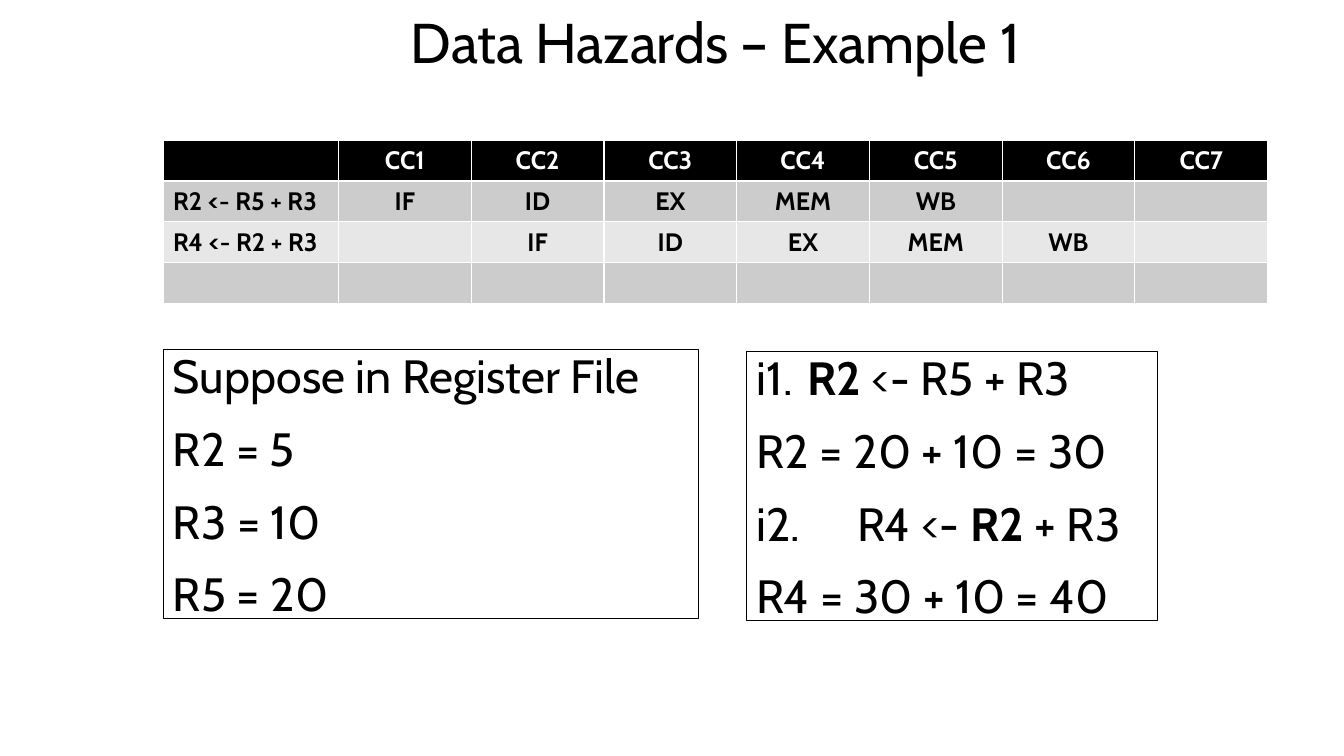
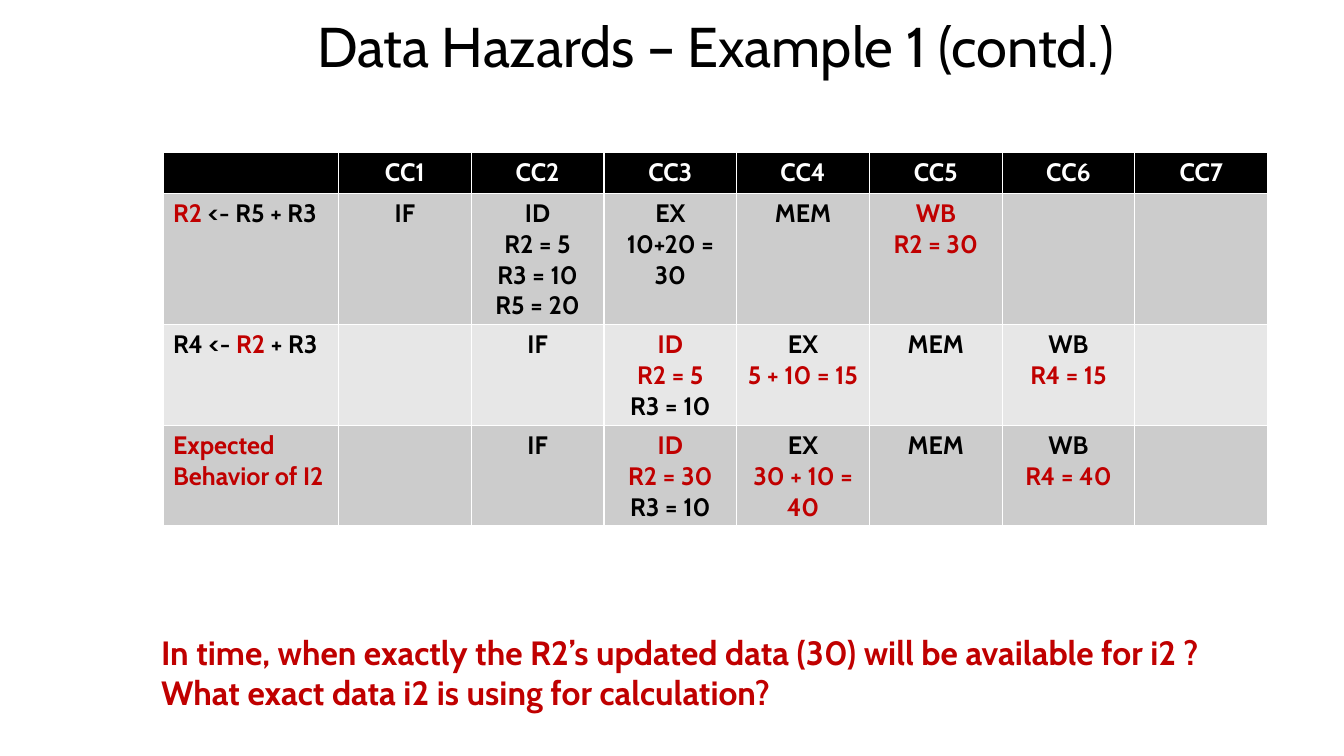
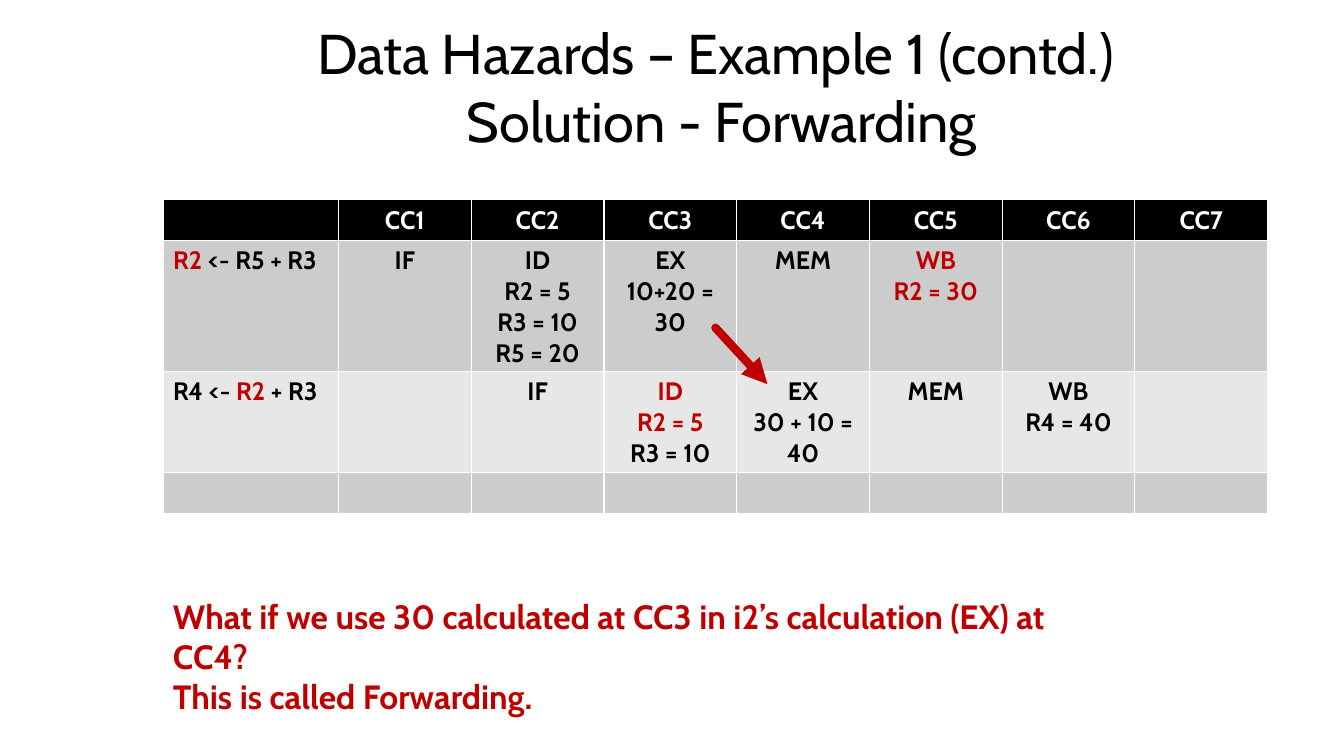
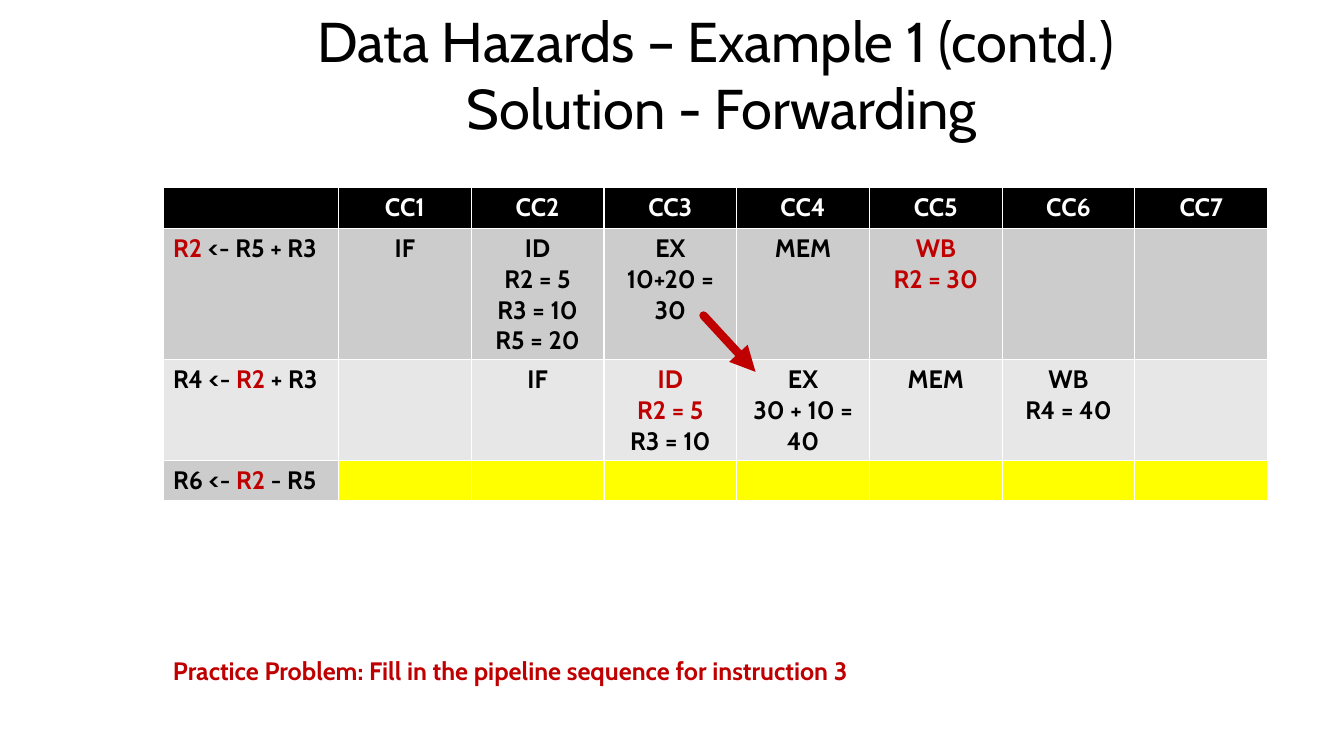
"""Build four slides on data hazards and forwarding in a pipeline."""
from dataclasses import dataclass

from lxml import etree
from pptx import Presentation
from pptx.dml.color import RGBColor
from pptx.enum.shapes import MSO_CONNECTOR, MSO_SHAPE
from pptx.enum.text import MSO_ANCHOR, PP_ALIGN
from pptx.oxml.ns import qn
from pptx.slide import Slide
from pptx.text.text import TextFrame
from pptx.util import Cm, Pt

BLACK = RGBColor(0x00, 0x00, 0x00)
WHITE = RGBColor(0xFF, 0xFF, 0xFF)
RED = RGBColor(0xC0, 0x00, 0x00)
YELLOW = RGBColor(0xFF, 0xFF, 0x00)
DARK_BAND = RGBColor(0xCC, 0xCC, 0xCC)
LIGHT_BAND = RGBColor(0xE7, 0xE7, 0xE7)

LEFT, CENTER, JUSTIFY = PP_ALIGN.LEFT, PP_ALIGN.CENTER, PP_ALIGN.JUSTIFY
MIDDLE = MSO_ANCHOR.MIDDLE
RECTANGLE = MSO_SHAPE.RECTANGLE
STRAIGHT = MSO_CONNECTOR.STRAIGHT

FONT = "Cabin"
MARK = "*"
CYCLES = 7
MARGIN = 4.11
CONTENT_WIDTH = 27.84
LABEL_WIDTH = 4.42
ROW_HEIGHT = 1.03


@dataclass(frozen=True)
class TextStyle:
    """Font settings of a text, and those of its marked parts."""

    size: float
    color: RGBColor = BLACK
    bold: bool = False
    align: PP_ALIGN = LEFT
    marked_color: RGBColor | None = None
    marked_bold: bool | None = None
    spacing: float = 0


@dataclass(frozen=True)
class Instruction:
    """One table row: its stages begin at the given clock cycle."""

    label: str = ""
    start: int = 1
    stages: tuple[str, ...] = ()
    highlight: RGBColor | None = None


@dataclass(frozen=True)
class Panel:
    """A framed list of register values."""

    left: float
    top: float
    width: float
    text: str
    align: PP_ALIGN


@dataclass(frozen=True)
class Note:
    """A red remark below the table."""

    left: float
    top: float
    width: float
    height: float
    text: str
    size: float = 24


@dataclass(frozen=True)
class HazardSlide:
    """Everything that one slide shows."""

    title: str
    title_height: float
    table_top: float
    instructions: tuple[Instruction, ...]
    panels: tuple[Panel, ...] = ()
    arrow_start: tuple[float, float] | None = None
    note: Note | None = None


TITLE_STYLE = TextStyle(40, align=CENTER)
HEADER_STYLE = TextStyle(18, WHITE, bold=True, align=CENTER)
LABEL_STYLE = TextStyle(18, bold=True, marked_color=RED)
STAGE_STYLE = TextStyle(18, bold=True, align=CENTER, marked_color=RED)

CONTINUED = "Data Hazards – Example 1 (contd.)"
FORWARDING = CONTINUED + "\v Solution - Forwarding"
PLAIN_STAGES = ("IF", "ID", "EX", "MEM", "WB")

FIRST_TRACED = Instruction(
    "*R2* <- R5 + R3", 1,
    ("IF", "ID\nR2 = 5\nR3 = 10\nR5 = 20", "EX\n10+20 = 30", "MEM", "*WB*\n*R2 = 30*"),
)
STALE_READ = Instruction(
    "R4 <- *R2* + R3", 2,
    ("IF", "*ID*\n*R2 = 5*\nR3 = 10", "EX\n*5 + 10 = 15*", "MEM", "WB\n*R4 = 15*"),
)
EXPECTED = Instruction(
    "*Expected Behavior of I2*", 2,
    ("IF", "*ID*\n*R2 = 30*\nR3 = 10", "EX\n*30 + 10 = 40*", "MEM", "WB\n*R4 = 40*"),
)
FORWARDED = Instruction(
    "R4 <- *R2* + R3", 2,
    ("IF", "*ID*\n*R2 = 5*\nR3 = 10", "EX\n30 + 10 = 40", "MEM", "WB\nR4 = 40"),
)

SLIDES = (
    HazardSlide(
        "Data Hazards – Example 1", 2.08, 3.53,
        (
            Instruction("R2 <- R5 + R3", 1, PLAIN_STAGES),
            Instruction("R4 <- R2 + R3", 2, PLAIN_STAGES),
            Instruction(),
        ),
        panels=(
            Panel(18.82, 8.86, 10.36,
                  "i1. \t*R2* <- R5 + R3\nR2 = 20 + 10 = 30\n"
                  "i2. \tR4 <- *R2* + R3\nR4 = 30 + 10 = 40", JUSTIFY),
            Panel(MARGIN, 8.81, 13.49,
                  "Suppose in Register File\nR2 = 5\nR3 = 10\nR5 = 20", LEFT),
        ),
    ),
    HazardSlide(
        CONTINUED, 2.26, 3.84, (FIRST_TRACED, STALE_READ, EXPECTED),
        note=Note(3.81, 15.8, 26.87, 2.31,
                  "In time, when exactly the R2’s updated data (30) will be available for i2 ?\n"
                  "What exact data i2 is using for calculation?"),
    ),
    HazardSlide(
        FORWARDING, 4.34, 5.03, (FIRST_TRACED, FORWARDED, Instruction()),
        arrow_start=(18.03, 8.26),
        note=Note(MARGIN, 14.88, 24.46, 2.31,
                  "What if we use 30 calculated at CC3 in i2’s calculation (EX) at CC4?\n"
                  "This is called Forwarding."),
    ),
    HazardSlide(
        FORWARDING, 3.73, 4.72,
        (FIRST_TRACED, FORWARDED, Instruction("R6 <- *R2* - R5", highlight=YELLOW)),
        arrow_start=(17.73, 7.95),
        note=Note(MARGIN, 16.38, 17.65, 1.02,
                  "Practice Problem: Fill in the pipeline sequence for instruction 3", 18),
    ),
)


def write(frame: TextFrame, text: str, style: TextStyle) -> None:
    """Write one paragraph per line, with the marked parts set apart."""
    for index, line in enumerate(text.split("\n")):
        paragraph = frame.paragraphs[0] if index == 0 else frame.add_paragraph()
        paragraph.alignment = style.align
        paragraph.space_before = paragraph.space_after = Pt(style.spacing)
        paragraph.font.name = FONT
        paragraph.font.size = Pt(style.size)
        paragraph.font.bold = style.bold
        paragraph.font.color.rgb = style.color
        if MARK not in line:
            paragraph.text = line
            continue
        for position, part in enumerate(line.split(MARK)):
            if not part:
                continue
            run = paragraph.add_run()
            run.text = part
            if position % 2:
                run.font.bold = style.marked_bold
                if style.marked_color is not None:
                    run.font.color.rgb = style.marked_color


def add_title(slide: Slide, text: str, height: float) -> None:
    """Add the centred title at the top of the slide."""
    frame = slide.shapes.add_textbox(Cm(MARGIN), 0, Cm(CONTENT_WIDTH), Cm(height)).text_frame
    frame.word_wrap = True
    frame.vertical_anchor = MIDDLE
    write(frame, text, TITLE_STYLE)


def add_pipeline(slide: Slide, top: float, instructions: tuple[Instruction, ...]) -> None:
    """Add the table of instructions against clock cycles."""
    row_count = len(instructions) + 1
    table = slide.shapes.add_table(
        row_count, CYCLES + 1, Cm(MARGIN), Cm(top),
        Cm(CONTENT_WIDTH), Cm(ROW_HEIGHT * row_count),
    ).table
    table.columns[0].width = Cm(LABEL_WIDTH)
    for cycle in range(1, CYCLES + 1):
        table.columns[cycle].width = Cm((CONTENT_WIDTH - LABEL_WIDTH) / CYCLES)

    def fill_cell(row: int, column: int, text: str, style: TextStyle, fill: RGBColor) -> None:
        cell = table.cell(row, column)
        cell.fill.solid()
        cell.fill.fore_color.rgb = fill
        write(cell.text_frame, text, style)

    for cycle in range(CYCLES + 1):
        fill_cell(0, cycle, f"CC{cycle}" if cycle else "", HEADER_STYLE, BLACK)
    for row, instruction in enumerate(instructions, start=1):
        band = DARK_BAND if row % 2 else LIGHT_BAND
        fill_cell(row, 0, instruction.label, LABEL_STYLE, band)
        stages = dict(enumerate(instruction.stages, start=instruction.start))
        for cycle in range(1, CYCLES + 1):
            fill_cell(row, cycle, stages.get(cycle, ""), STAGE_STYLE,
                      instruction.highlight or band)


def add_panel(slide: Slide, panel: Panel) -> None:
    """Add a thinly framed list of register values."""
    frame_box = slide.shapes.add_shape(
        RECTANGLE, Cm(panel.left), Cm(panel.top), Cm(panel.width), Cm(6.78))
    frame_box.shadow.inherit = False
    frame_box.fill.background()
    frame_box.line.color.rgb = BLACK
    frame_box.line.width = Pt(0.75)
    frame_box.text_frame.word_wrap = True
    frame_box.text_frame.vertical_anchor = MIDDLE
    write(frame_box.text_frame, panel.text,
          TextStyle(33.3, align=panel.align, marked_bold=True, spacing=6))


def add_forwarding_arrow(slide: Slide, start: tuple[float, float]) -> None:
    """Add the red arrow from one EX stage to the next."""
    left, top = start
    arrow = slide.shapes.add_connector(
        STRAIGHT, Cm(left), Cm(top), Cm(left + 1.31), Cm(top + 1.42))
    arrow.line.color.rgb = RED
    arrow.line.width = Pt(6)
    properties = arrow.line._get_or_add_ln()
    properties.set("cap", "rnd")
    etree.SubElement(properties, qn("a:tailEnd"), type="triangle")
    etree.SubElement(arrow._element.spPr, qn("a:effectLst"))


def add_note(slide: Slide, note: Note) -> None:
    """Add the bold red remark."""
    frame = slide.shapes.add_textbox(
        Cm(note.left), Cm(note.top), Cm(note.width), Cm(note.height)).text_frame
    frame.word_wrap = True
    write(frame, note.text, TextStyle(note.size, RED, bold=True))


def main() -> None:
    """Build and save the slides."""
    deck = Presentation()
    deck.slide_width, deck.slide_height = Cm(33.87), Cm(19.05)
    for content in SLIDES:
        slide = deck.slides.add_slide(deck.slide_layouts[6])
        add_title(slide, content.title, content.title_height)
        add_pipeline(slide, content.table_top, content.instructions)
        for panel in content.panels:
            add_panel(slide, panel)
        if content.arrow_start:
            add_forwarding_arrow(slide, content.arrow_start)
        if content.note:
            add_note(slide, content.note)
    deck.save("out.pptx")


if __name__ == "__main__":
    main()
